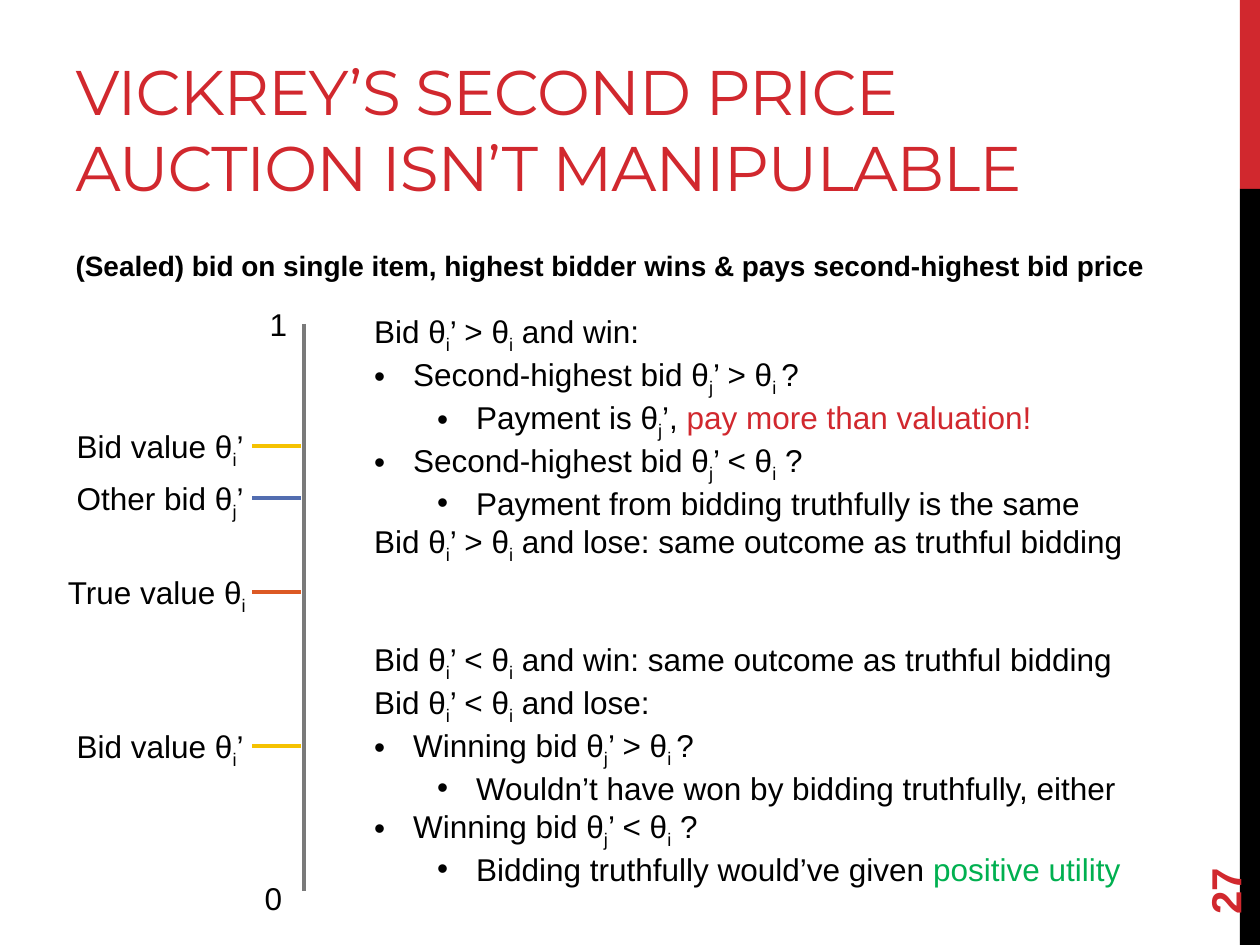
"""Build the slide on why the second price auction is not manipulable."""
from dataclasses import dataclass

from lxml.etree import SubElement
from pptx import Presentation
from pptx.dml.color import RGBColor
from pptx.enum.shapes import MSO_CONNECTOR as Connector, MSO_SHAPE as Shape
from pptx.enum.text import MSO_ANCHOR as Anchor, MSO_AUTO_SIZE as AutoSize, PP_ALIGN as Align
from pptx.oxml.ns import qn
from pptx.util import Inches, Pt


@dataclass(frozen=True)
class Theme:
    red: str = "D1282E"
    black: str = "000000"
    grey: str = "7A7A7A"
    gold: str = "F5C201"
    blue: str = "526DB0"
    orange: str = "DC5924"
    green: str = "00B050"
    title_font: str = "Montserrat"
    text_font: str = "Arial"
    title_size: float = 36
    number_size: float = 24
    text_size: float = 18
    rule_size: float = 16
    line: float = 2.25


THEME = Theme()
WIDTH, HEIGHT = 10, 7.5
MARGIN = 0.05 * WIDTH
BAND_LEFT, BAND_SPLIT = 9.84, 0.2 * HEIGHT
AXIS_X, AXIS_TOP, AXIS_BOTTOM = 2.41, 2.57, 7.07
TICK_LEFT, TICK_RIGHT = 2, 2.39
LABEL_LEFT, LABEL_WIDTH, LABEL_HEIGHT = 0.44, 2.06, 0.4
INDENT, LEVEL_STEP = 0.31, 0.5
CASE_GAP = 43

TITLE = "VICKREY’S SECOND PRICE AUCTION ISN’T MANIPULABLE"
RULE = "(Sealed) bid on single item, highest bidder wins & pays second-highest bid price"
PAGE = "27"
SUBSCRIPT = "|"

# Fields: text with subscripts between bars, centre height, colour, left shift
TICKS = [
    ("True value θ|i", 4.7, THEME.orange, 0),
    ("Bid value θ|i|’", 3.54, THEME.gold, 0.07),
    ("Bid value θ|i|’", 5.92, THEME.gold, 0.07),
    ("Other bid θ|j|’", 3.95, THEME.blue, 0.07),
]
AXIS_ENDS = [("0", 1.93, 6.93), ("1", 1.97, 2.37)]
HEAD, CASE, RESULT = range(3)
OVERBID = [
    (HEAD, "Bid θ|i|’ > θ|i| and win:"),
    (CASE, "Second-highest bid θ|j|’ > θ|i |?"),
    (RESULT, "Payment is θ|j|’, ", "pay more than valuation!", THEME.red),
    (CASE, "Second-highest bid θ|j|’ < θ|i| ?"),
    (RESULT, "Payment from bidding truthfully is the same"),
    (HEAD, "Bid θ|i|’ > θ|i| and lose: same outcome as truthful bidding"),
]
UNDERBID = [
    (HEAD, "Bid θ|i|’ < θ|i| and win: same outcome as truthful bidding"),
    (HEAD, "Bid θ|i|’ < θ|i| and lose:"),
    (CASE, "Winning bid θ|j|’ > θ|i |?"),
    (RESULT, "Wouldn’t have won by bidding truthfully, either"),
    (CASE, "Winning bid θ|j|’ < θ|i| ?"),
    (RESULT, "Bidding truthfully would’ve given ", "positive utility", THEME.green),
]


def add_run(paragraph, text, size=THEME.text_size, color=THEME.black,
            font=THEME.text_font, bold=False):
    run = paragraph.add_run()
    run.text = text
    run.font.size, run.font.name, run.font.bold = Pt(size), font, bold
    run.font.color.rgb = RGBColor.from_string(color)
    return run


def add_formula(paragraph, text):
    for position, part in enumerate(text.split(SUBSCRIPT)):
        run = add_run(paragraph, part)
        if position % 2:
            run._r.get_or_add_rPr().set("baseline", "-25000")


def place(shape, left, top, width, height):
    shape.left, shape.top = Inches(left), Inches(top)
    shape.width, shape.height = Inches(width), Inches(height)


def add_text_box(shapes, left, top, width, height):
    box = shapes.add_textbox(*map(Inches, (left, top, width, height)))
    box.text_frame.word_wrap = True
    return box


def add_line(shapes, start, end, color):
    line = shapes.add_connector(Connector.STRAIGHT, *map(Inches, (*start, *end)))
    line.line.color.rgb = RGBColor.from_string(color)
    line.line.width = Pt(THEME.line)
    SubElement(line._element.spPr, qn("a:effectLst"))


def set_bullet(paragraph, level):
    properties = paragraph._p.get_or_add_pPr()
    margin = INDENT + LEVEL_STEP * (level - CASE) if level else 0
    properties.set("marL", str(Inches(margin)))
    properties.set("indent", str(Inches(-INDENT if level else 0)))
    if level:
        SubElement(properties, qn("a:buFont")).set("typeface", THEME.text_font)
        SubElement(properties, qn("a:buChar")).set("char", "•")
        paragraph.level = level - CASE
    else:
        SubElement(properties, qn("a:buNone"))


def add_bands(shapes):
    for top, bottom, color in ((0, BAND_SPLIT, THEME.red), (BAND_SPLIT, HEIGHT, THEME.black)):
        band = shapes.add_shape(Shape.RECTANGLE, *map(
            Inches, (BAND_LEFT, top, WIDTH - BAND_LEFT, bottom - top)))
        band.shadow.inherit = False
        band.fill.solid()
        band.fill.fore_color.rgb = RGBColor.from_string(color)
        band.line.fill.background()


def add_headings(slide):
    title, rule = slide.shapes.title, slide.placeholders[1]
    place(title, MARGIN, 0.17, 9.02, 1.5)
    place(rule, MARGIN, 1.92, 8.8, 0.31)
    for heading, anchor in ((title, Anchor.BOTTOM), (rule, Anchor.TOP)):
        heading.text_frame.auto_size = AutoSize.NONE
        heading.text_frame.vertical_anchor = anchor
        paragraph = heading.text_frame.paragraphs[0]
        set_bullet(paragraph, HEAD)
        paragraph.alignment, paragraph.space_before = Align.LEFT, Pt(0)
    words = add_run(title.text_frame.paragraphs[0], TITLE, THEME.title_size,
                    THEME.red, THEME.title_font)
    words._r.get_or_add_rPr().set("spc", "-60")
    add_run(rule.text_frame.paragraphs[0], RULE, THEME.rule_size, bold=True)


def add_page_number(shapes):
    number = add_text_box(shapes, 9, 6.44, 1.44, 0.4)
    number.rotation = 270
    number.text_frame.vertical_anchor = Anchor.MIDDLE
    add_run(number.text_frame.paragraphs[0], PAGE, THEME.number_size, THEME.red, bold=True)


def add_axis(shapes):
    axis = shapes.add_group_shape().shapes
    add_line(axis, (AXIS_X, AXIS_TOP), (AXIS_X, AXIS_BOTTOM), THEME.grey)
    for value, left, top in AXIS_ENDS:
        end = add_text_box(axis, left, top, 0.48, LABEL_HEIGHT).text_frame.paragraphs[0]
        end.alignment = Align.CENTER
        add_run(end, value)
    for text, height, color, shift in TICKS:
        tick = shapes.add_group_shape().shapes
        label = add_text_box(tick, LABEL_LEFT + shift, height - LABEL_HEIGHT / 2,
                             LABEL_WIDTH - shift, LABEL_HEIGHT)
        add_formula(label.text_frame.paragraphs[0], text)
        add_line(tick, (TICK_LEFT, height), (TICK_RIGHT, height), color)


def add_cases(shapes):
    frame = add_text_box(shapes, 2.87, 2.43, 6.65, 4.64).text_frame
    for position, (level, text, *accent) in enumerate(OVERBID + UNDERBID):
        paragraph = frame.add_paragraph() if position else frame.paragraphs[0]
        set_bullet(paragraph, level)
        if position == len(OVERBID):
            paragraph.space_before = Pt(CASE_GAP)
        add_formula(paragraph, text)
        if accent:
            words, color = accent
            add_run(paragraph, words, color=color)


def main():
    deck = Presentation()
    deck.slide_width, deck.slide_height = Inches(WIDTH), Inches(HEIGHT)
    slide = deck.slides.add_slide(deck.slide_layouts[1])
    add_bands(slide.shapes)
    add_headings(slide)
    add_page_number(slide.shapes)
    add_axis(slide.shapes)
    add_cases(slide.shapes)
    deck.save("out.pptx")


if __name__ == "__main__":
    main()
